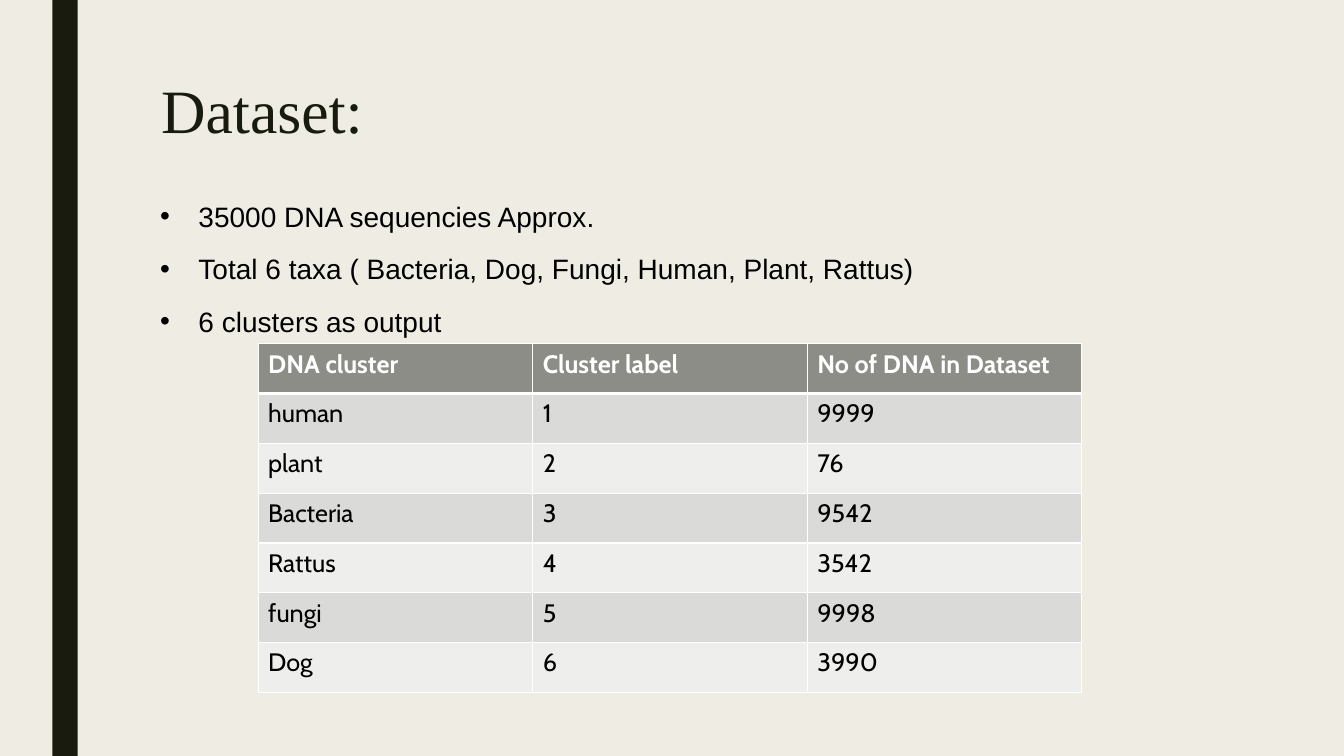
from dataclasses import dataclass

from lxml import etree
from pptx import Presentation
from pptx import util as u
from pptx.dml.color import RGBColor
from pptx.enum import shapes
from pptx.oxml import ns


@dataclass(frozen=True)
class Theme:
    paper: str = "EFEDE3"
    ink: str = "191B0E"
    black: str = "000000"
    white: str = "FFFFFF"
    head: str = "8C8D86"
    bands: tuple = ("DADBD9", "EEEEED")
    serif: str = "Times New Roman"
    sans: str = "Arial"
    grid: str = "Cabin"
    title: int = 44
    body: int = 20
    cell: int = 18


@dataclass(frozen=True)
class Box:
    left: float
    top: float
    width: float
    height: float

    def place(self) -> list:
        return [u.Inches(n) for n in (self.left, self.top, self.width, self.height)]


@dataclass(frozen=True)
class Row:
    name: str
    label: str
    count: str


THEME = Theme()
BAR = Box(0.52, 0, 0.25, 7.5)
TITLE = Box(1.5, 0.75, 10.5, 0.95)
LIST = Box(1.49, 1.76, 10.73, 3.36)
TABLE = Box(2.56, 3.41, 8.17, 3.46)
POINTS = [
    "35000 DNA sequencies Approx.",
    "Total 6 taxa ( Bacteria, Dog, Fungi, Human, Plant, Rattus)",
    "6 clusters as output",
]
ROWS = [
    Row("DNA cluster", "Cluster label", "No of DNA in Dataset"),
    Row("human", "1", "9999"),
    Row("plant", "2", "76"),
    Row("Bacteria", "3", "9542"),
    Row("Rattus", "4", "3542"),
    Row("fungi", "5", "9998"),
    Row("Dog", "6", "3990"),
]


def paint(fill, color: str) -> None:
    fill.solid()
    fill.fore_color.rgb = RGBColor.from_string(color)


def write(para, words: str, *, font: str, size: int, color: str,
          bold: bool = False, line: float = 1.0, before: float = 0) -> None:
    para.line_spacing = line
    para.space_before = u.Pt(before)
    run = para.add_run()
    run.text = words
    run.font.name = font
    run.font.size = u.Pt(size)
    run.font.bold = bold
    run.font.color.rgb = RGBColor.from_string(color)


def bullet(para, indent: float) -> None:
    props = para._p.get_or_add_pPr()
    props.set("marL", str(u.Inches(indent)))
    props.set("indent", str(-u.Inches(indent)))
    etree.SubElement(props, ns.qn("a:buFont")).set("typeface", THEME.sans)
    etree.SubElement(props, ns.qn("a:buChar")).set("char", "•")


def border(cell, top: int, bottom: int) -> None:
    """Rule all four sides in white; the side rules are 1 pt wide."""
    props = cell._tc.get_or_add_tcPr()
    sides = {"lnL": 1, "lnR": 1, "lnT": top, "lnB": bottom}
    for spot, (side, width) in enumerate(sides.items()):
        edge = etree.Element(ns.qn(f"a:{side}"), w=str(u.Pt(width)))
        fill = etree.SubElement(edge, ns.qn("a:solidFill"))
        etree.SubElement(fill, ns.qn("a:srgbClr")).set("val", THEME.white)
        props.insert(spot, edge)


def add_text(slide, box: Box):
    frame = slide.shapes.add_textbox(*box.place()).text_frame
    frame.word_wrap = True
    return frame


def add_bar(slide) -> None:
    bar = slide.shapes.add_shape(shapes.MSO_SHAPE.RECTANGLE, *BAR.place())
    bar.shadow.inherit = False
    paint(bar.fill, THEME.ink)
    bar.line.fill.background()


def add_list(slide) -> None:
    frame = add_text(slide, LIST)
    for i, point in enumerate(POINTS):
        para = frame.add_paragraph() if i else frame.paragraphs[0]
        write(para, point, font=THEME.sans, size=THEME.body,
              color=THEME.black, line=1.5, before=1.5)
        bullet(para, 0.38)


def add_grid(slide) -> None:
    table = slide.shapes.add_table(len(ROWS), 3, *TABLE.place()).table
    for i, row in enumerate(ROWS):
        head = i == 0
        for j, words in enumerate((row.name, row.label, row.count)):
            cell = table.cell(i, j)
            paint(cell.fill, THEME.head if head else THEME.bands[(i - 1) % 2])
            border(cell, top=3 if i == 1 else 1, bottom=3 if head else 1)
            write(cell.text_frame.paragraphs[0], words, font=THEME.grid,
                  size=THEME.cell, bold=head,
                  color=THEME.white if head else THEME.black)


def main() -> None:
    deck = Presentation()
    deck.slide_width, deck.slide_height = u.Inches(13.33), u.Inches(7.5)
    slide = deck.slides.add_slide(deck.slide_layouts[6])
    paint(slide.background.fill, THEME.paper)
    add_bar(slide)
    write(add_text(slide, TITLE).paragraphs[0], "Dataset:", font=THEME.serif,
          size=THEME.title, color=THEME.ink, line=0.89)
    add_list(slide)
    add_grid(slide)
    deck.save("out.pptx")


if __name__ == "__main__":
    main()
